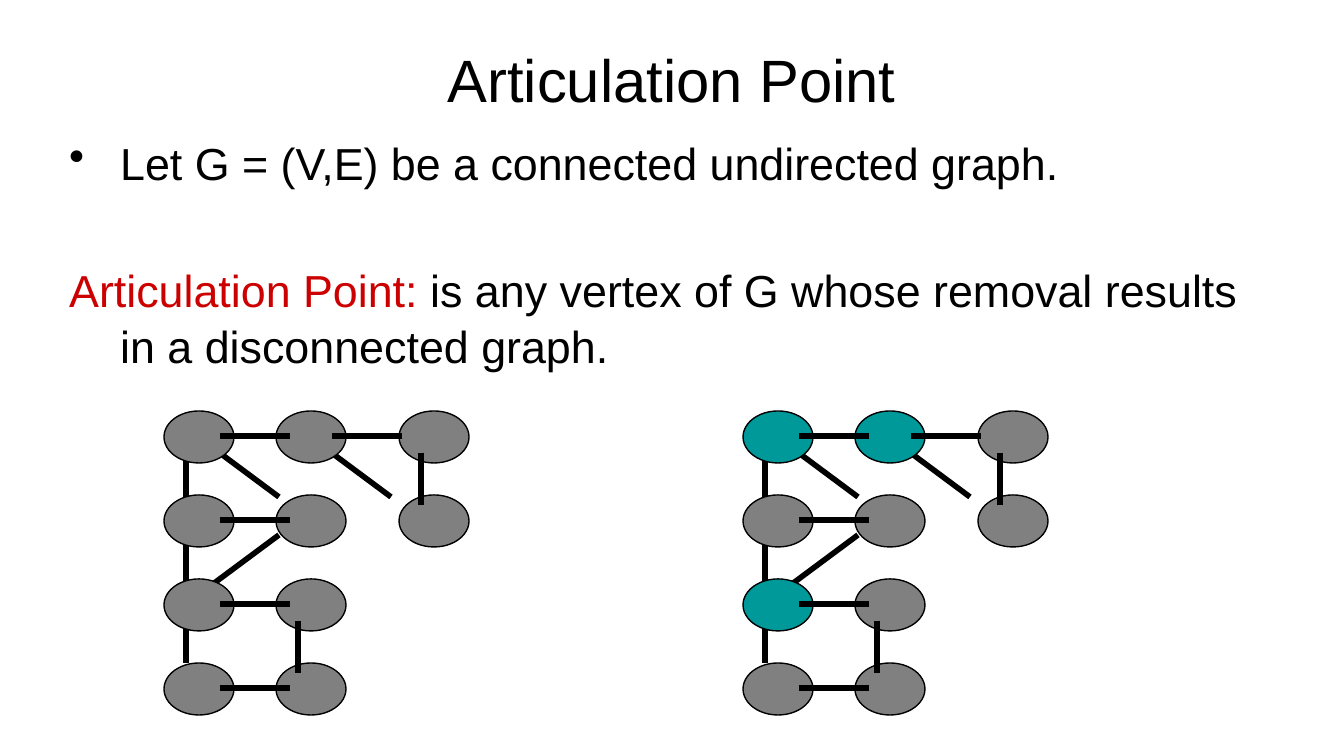
import pptx
import pptx.dml.color
import pptx.enum.shapes
import pptx.enum.text
import pptx.oxml
import pptx.oxml.ns
import pptx.util
import lxml.etree
from dataclasses import dataclass


@dataclass(frozen=True)
class Theme:
    font: str = "Arial"
    ink: str = "000000"
    accent: str = "CC0000"
    vertex: str = "808080"
    articulation: str = "009999"
    title_size: int = 32
    body_size: int = 24
    edge_width: float = 3
    outline_width: float = 0.75


THEME = Theme()
SLIDE_WIDTH, SLIDE_HEIGHT = 1344, 756
SCALE = pptx.util.Inches(10) / SLIDE_WIDTH

TITLE = "Articulation Point"
TITLE_BOX = (67, 31, 1210, 95)
BODY_BOX = (56, 126, 1210, 579)
BODY_INDENT = 51
BODY = [
    {"bullet": "•", "before": 0,
     "runs": [("Let G = (V,E) be a connected undirected graph.", THEME.ink)]},
    {"bullet": None, "before": 38,
     "runs": [("Articulation Point:", THEME.accent),
              (" is any vertex of G whose removal results in a disconnected graph.", THEME.ink)]},
]

GRAPH_TOP = 411
COLUMNS = (0, 112, 235)
ROW_STEP = 84
VERTEX_SIZE = (70, 52)
VERTICES = [(0, 0), (2, 1), (2, 0), (1, 0), (0, 2), (0, 1), (1, 2), (0, 3), (1, 3), (1, 1)]
EDGE_KINDS = {
    "across": ((56, 25), (70, 0)),
    "down": ((22, 42), (0, 52)),
    "spine": ((22, 42), (0, 210)),
    "falling": ((45, 34), (70, 52)),
    "rising": ((45, 8), (70, -52)),
}
BACK_EDGES = [("rising", 0, 2), ("falling", 0, 0), ("spine", 0, 0), ("falling", 1, 0)]
FRONT_EDGES = [("across", 0, 0), ("across", 1, 0), ("down", 2, 0), ("across", 0, 3),
               ("across", 0, 1), ("across", 0, 2), ("down", 1, 2)]
GRAPHS = [
    {"left": 164, "articulation": set()},
    {"left": 743, "articulation": {(0, 0), (1, 0), (0, 2)}},
]


def px(*lengths):
    return [pptx.util.Emu(round(length * SCALE)) for length in lengths]


def color(code):
    return pptx.dml.color.RGBColor.from_string(code)


def add_run(para, text, size, code):
    span = para.add_run()
    span.text = text
    span.font.name = THEME.font
    span.font.size = pptx.util.Pt(size)
    span.font.color.rgb = color(code)


def add_title(page):
    box = page.shapes.title
    box.left, box.top, box.width, box.height = px(*TITLE_BOX)
    box.text_frame.vertical_anchor = pptx.enum.text.MSO_ANCHOR.MIDDLE
    para = box.text_frame.paragraphs[0]
    para.alignment = pptx.enum.text.PP_ALIGN.CENTER
    add_run(para, TITLE, THEME.title_size, THEME.ink)


def add_body(page):
    frame = page.shapes.add_textbox(*px(*BODY_BOX)).text_frame
    frame.word_wrap = True
    indent = px(BODY_INDENT)[0]
    for index, item in enumerate(BODY):
        para = frame.add_paragraph() if index else frame.paragraphs[0]
        para.line_spacing = 1.05
        para.space_before = pptx.util.Pt(item["before"])
        properties = para._p.get_or_add_pPr()
        properties.set("marL", str(indent))
        properties.set("indent", str(-indent))
        if item["bullet"]:
            bullet = lxml.etree.SubElement(properties, pptx.oxml.ns.qn("a:buChar"))
            bullet.set("char", item["bullet"])
        for text, code in item["runs"]:
            add_run(para, text, THEME.body_size, code)


def add_edge(group, left, kind, column, row):
    (start_x, start_y), (run, rise) = EDGE_KINDS[kind]
    x = left + COLUMNS[column] + start_x
    y = GRAPH_TOP + row * ROW_STEP + start_y
    edge = group.shapes.add_connector(
        pptx.enum.shapes.MSO_CONNECTOR.STRAIGHT, *px(x, y, x + run, y + rise))
    edge.line.color.rgb = color(THEME.ink)
    edge.line.width = pptx.util.Pt(THEME.edge_width)
    lxml.etree.SubElement(edge._element.spPr, pptx.oxml.ns.qn("a:effectLst"))


def add_vertex(group, left, column, row, fill):
    x, y = left + COLUMNS[column], GRAPH_TOP + row * ROW_STEP
    vertex = group.shapes.add_shape(
        pptx.enum.shapes.MSO_SHAPE.OVAL, *px(x, y, *VERTEX_SIZE))
    vertex.shadow.inherit = False
    vertex.fill.solid()
    vertex.fill.fore_color.rgb = color(fill)
    vertex.line.color.rgb = color(THEME.ink)
    vertex.line.width = pptx.util.Pt(THEME.outline_width)


def add_graph(page, left, articulation):
    group = page.shapes.add_group_shape()
    for edge in BACK_EDGES:
        add_edge(group, left, *edge)
    for vertex in VERTICES:
        fill = THEME.articulation if vertex in articulation else THEME.vertex
        add_vertex(group, left, *vertex, fill)
    for edge in FRONT_EDGES:
        add_edge(group, left, *edge)


def main():
    deck = pptx.Presentation()
    deck.slide_width, deck.slide_height = px(SLIDE_WIDTH, SLIDE_HEIGHT)
    page = deck.slides.add_slide(deck.slide_layouts.get_by_name("Title Only"))
    add_title(page)
    add_body(page)
    for graph in GRAPHS:
        add_graph(page, **graph)
    deck.save("out.pptx")


if __name__ == "__main__":
    main()
